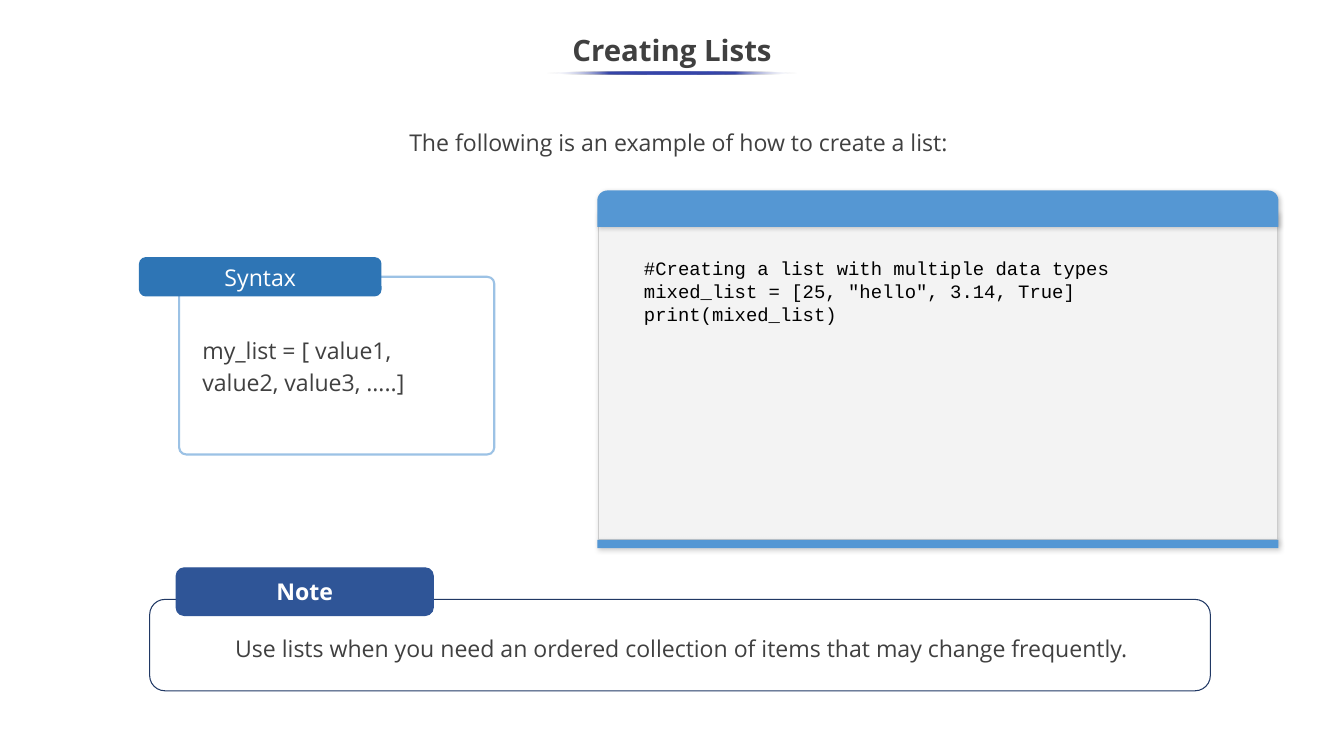
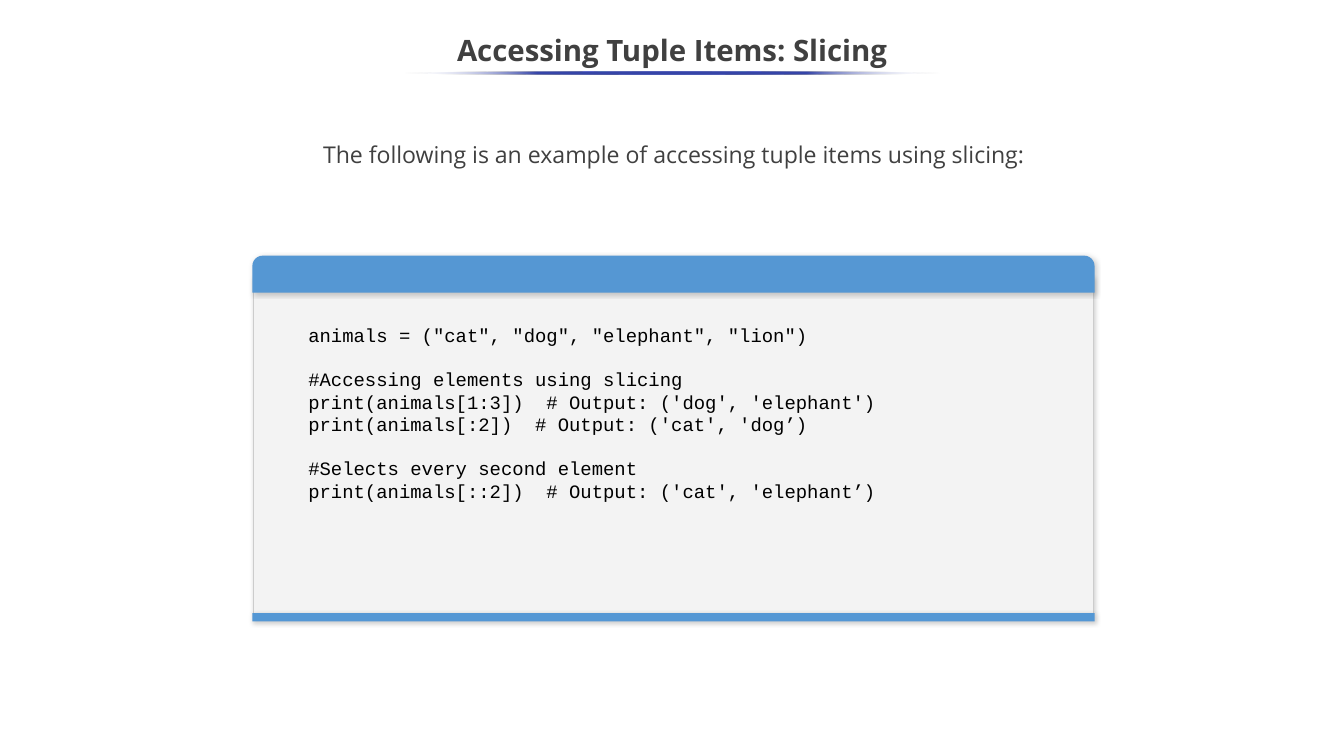
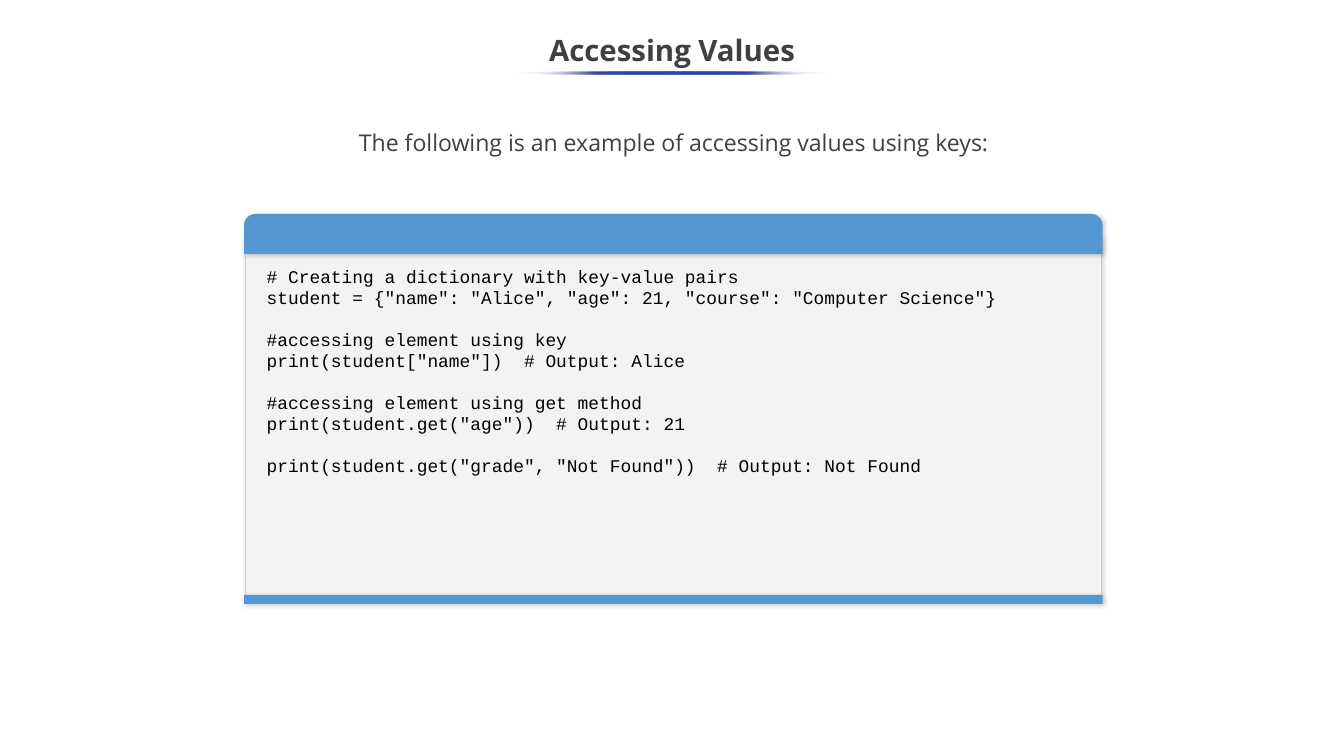
from lxml import etree
from pptx import Presentation
from pptx.dml.color import RGBColor
from pptx.enum.shapes import MSO_SHAPE
from pptx.enum.text import MSO_ANCHOR, MSO_AUTO_SIZE, PP_ALIGN
from pptx.oxml.ns import qn
from pptx.util import Cm, Pt

RECT = MSO_SHAPE.RECTANGLE
ROUNDED = MSO_SHAPE.ROUNDED_RECTANGLE
ROUNDED_TOP = MSO_SHAPE.ROUND_2_SAME_RECTANGLE
ELLIPSE = MSO_SHAPE.OVAL
LEFT, CENTER = PP_ALIGN.LEFT, PP_ALIGN.CENTER
TOP, MIDDLE = MSO_ANCHOR.TOP, MSO_ANCHOR.MIDDLE
FIXED = MSO_AUTO_SIZE.NONE

SLIDE_WIDTH, SLIDE_HEIGHT = 45.16, 25.4
BODY_FONT, CODE_FONT = "Open Sans", "Courier New"
CODE_LINE_HEIGHT = 1.13

COLORS = {
    "text": "404040",
    "white": "FFFFFF",
    "code": "000000",
    "accent": "3645A9",
    "panel": "F3F3F3",
    "panel_edge": "CCCCCC",
    "panel_header": "5597D3",
    "panel_footer": "5497D4",
    "note": "2F5597",
    "note_edge": "203864",
    "syntax": "2E75B5",
    "syntax_edge": "9CC2E5",
}


def rgb(color):
    return RGBColor.from_string(COLORS[color])


def add_xml(parent, tag, **attributes):
    return etree.SubElement(
        parent, qn(tag), {key: str(value) for key, value in attributes.items()}
    )


class Deck:
    def __init__(self):
        self.presentation = Presentation()
        self.presentation.slide_width = Cm(SLIDE_WIDTH)
        self.presentation.slide_height = Cm(SLIDE_HEIGHT)
        self.slide = None

    def new_slide(self, title, underline_width, intro, intro_left, intro_top):
        self.slide = self.presentation.slides.add_slide(
            self.presentation.slide_layouts[1]
        )
        heading, lead = self.slide.placeholders
        self.place(heading, 0, 0.64, SLIDE_WIDTH, 1.9)
        self.set_text(heading, [title], size=28, bold=True, anchor=MIDDLE,
                      spacing=1.15)
        self.place(lead, intro_left, intro_top, 34.62, 2.51)
        self.set_text(lead, [intro], insets=(0.25, 0), spacing=1.15)
        self.underline(underline_width)

    def place(self, target, left, top, width, height):
        target.left, target.top = Cm(left), Cm(top)
        target.width, target.height = Cm(width), Cm(height)

    def set_text(self, target, lines, size=22, color="text", bold=False,
                 font=BODY_FONT, align=CENTER, anchor=TOP, insets=(0.25, 0.13),
                 spacing=1.0, gaps=()):
        frame = target.text_frame
        frame.word_wrap = True
        frame.auto_size = FIXED
        frame.vertical_anchor = anchor
        frame.margin_left = frame.margin_right = Cm(insets[0])
        frame.margin_top = frame.margin_bottom = Cm(insets[1])
        for index, line in enumerate(lines):
            paragraph = frame.paragraphs[0] if index == 0 else frame.add_paragraph()
            properties = paragraph._p.get_or_add_pPr()
            properties.set("marL", "0")
            properties.set("indent", "0")
            add_xml(properties, "a:buNone")
            paragraph.alignment = align
            paragraph.line_spacing = spacing
            paragraph.space_before = Pt(
                round(size * CODE_LINE_HEIGHT, 1) if index in gaps else 0
            )
            run = paragraph.add_run()
            run.text = line
            run.font.name = font
            run.font.size = Pt(size)
            run.font.bold = bold
            run.font.color.rgb = rgb(color)

    def text(self, shapes, box, lines, **style):
        target = shapes.add_textbox(*map(Cm, box))
        self.set_text(target, lines, **style)

    def shape(self, shapes, preset, box, fill=None, line=None, line_width=1,
              corners=(), shadow=False):
        shape = shapes.add_shape(preset, *map(Cm, box))
        for index, corner in enumerate(corners):
            shape.adjustments[index] = corner
        if fill:
            shape.fill.solid()
            shape.fill.fore_color.rgb = rgb(fill)
        else:
            shape.fill.background()
        if line:
            shape.line.color.rgb = rgb(line)
            shape.line.width = Pt(line_width)
        else:
            shape.line.fill.background()
        shape.shadow.inherit = False
        if shadow:
            self.soft_shadow(shape)
        return shape

    def soft_shadow(self, shape):
        effects = shape._element.spPr.find(qn("a:effectLst"))
        outer = add_xml(effects, "a:outerShdw", blurRad=Pt(4.5), dist=Pt(1.5),
                        dir=47 * 60000, algn="bl", rotWithShape=0)
        tint = add_xml(outer, "a:srgbClr", val=COLORS["code"])
        add_xml(tint, "a:alpha", val=20000)

    def underline(self, width):
        left = (SLIDE_WIDTH - width) / 2
        bar = self.shape(self.slide.shapes, ELLIPSE, (left, 2.41, width, 0.1))
        bar.fill.gradient()
        bar.fill.gradient_angle = 180
        stops = bar._element.spPr.find(".//" + qn("a:gsLst"))
        for stop in list(stops):
            stops.remove(stop)
        for position in (0, 25, 50, 75, 100):
            stop = add_xml(stops, "a:gs", pos=position * 1000)
            faded = position in (0, 100)
            tint = add_xml(stop, "a:srgbClr",
                           val=COLORS["white" if faded else "accent"])
            if faded:
                add_xml(tint, "a:alpha", val=0)

    def code_panel(self, left, top, width, header, footer_top, footer,
                   code_box, blocks, size=18):
        shapes = self.slide.shapes.add_group_shape().shapes
        body_top = top + 0.6 * header
        self.shape(shapes, RECT,
                   (left + 0.05, body_top, width - 0.1, footer_top - body_top),
                   fill="panel", line="panel_edge", line_width=0.75, shadow=True)
        self.shape(shapes, RECT, (left, footer_top, width, footer),
                   fill="panel_footer", shadow=True)
        self.shape(shapes, ROUNDED_TOP, (left, top, width, header),
                   fill="panel_header", corners=(0.28, 0), shadow=True)
        lines, gaps = [], []
        for block in blocks:
            if lines:
                gaps.append(len(lines))
            lines.extend(block)
        self.text(shapes, code_box, lines, size=size, color="code",
                  font=CODE_FONT, align=LEFT, insets=(0.25, 0.25), gaps=gaps)

    def note(self, message):
        shapes = self.slide.shapes
        self.text(shapes, (5.59, 21.18, 34.62, 1.6), [message],
                  insets=(0.25, 0), spacing=1.15)
        self.shape(shapes, ROUNDED, (5.03, 20.14, 35.64, 3.07), line="note_edge")
        label = self.shape(shapes, ROUNDED, (5.92, 19.08, 8.64, 1.6),
                           fill="note", line="note")
        self.set_text(label, ["Note"], color="white", bold=True, anchor=MIDDLE)

    def syntax(self, form):
        shapes = self.slide.shapes.add_group_shape().shapes
        self.shape(shapes, ROUNDED, (6.02, 9.3, 10.59, 5.97),
                   line="syntax_edge", line_width=2, corners=(0.04,))
        label = self.shape(shapes, ROUNDED, (4.67, 8.64, 8.15, 1.32),
                           fill="syntax", corners=(0.17,))
        self.set_text(label, ["Syntax"], color="white", anchor=MIDDLE)
        self.text(shapes, (6.55, 11.05, 9.53, 2.41), [form], align=LEFT,
                  spacing=1.15)


def main():
    deck = Deck()

    deck.new_slide("Creating Lists", 8.41,
                   "The following is an example of how to create a list:",
                   5.49, 4.17)
    deck.note("Use lists when you need an ordered collection of items "
              "that may change frequently.")
    deck.syntax("my_list = [ value1, value2, value3, …..]")
    deck.code_panel(20.07, 6.4, 22.89, 1.22, 18.14, 0.28,
                    (21.39, 8.38, 18.72, 8.94), [
        ["#Creating a list with multiple data types",
         'mixed_list = [25, "hello", 3.14, True]',
         "print(mixed_list)"],
    ])

    deck.new_slide("Accessing Tuple Items: Slicing", 18.06,
                   "The following is an example of accessing tuple items "
                   "using slicing:", 5.33, 4.57)
    deck.code_panel(8.48, 8.59, 28.3, 1.24, 20.6, 0.28,
                    (10.11, 10.62, 25.02, 9.14), [
        ['animals = ("cat", "dog", "elephant", "lion")'],
        ["#Accessing elements using slicing",
         "print(animals[1:3])  # Output: ('dog', 'elephant')",
         "print(animals[:2])  # Output: ('cat', 'dog’)"],
        ["#Selects every second element",
         "print(animals[::2])  # Output: ('cat', 'elephant’)"],
    ])

    deck.new_slide("Accessing Values", 10.36,
                   "The following is an example of accessing values using keys:",
                   5.33, 4.19)
    deck.code_panel(8.2, 7.19, 28.85, 1.35, 19.99, 0.3,
                    (8.71, 8.66, 26.67, 9.78), [
        ["# Creating a dictionary with key-value pairs",
         'student = {"name": "Alice", "age": 21, "course": "Computer Science"}'],
        ["#accessing element using key",
         'print(student["name"])  # Output: Alice'],
        ["#accessing element using get method",
         'print(student.get("age"))  # Output: 21'],
        ['print(student.get("grade", "Not Found"))  # Output: Not Found'],
    ], size=17)

    deck.presentation.save("out.pptx")


if __name__ == "__main__":
    main()
